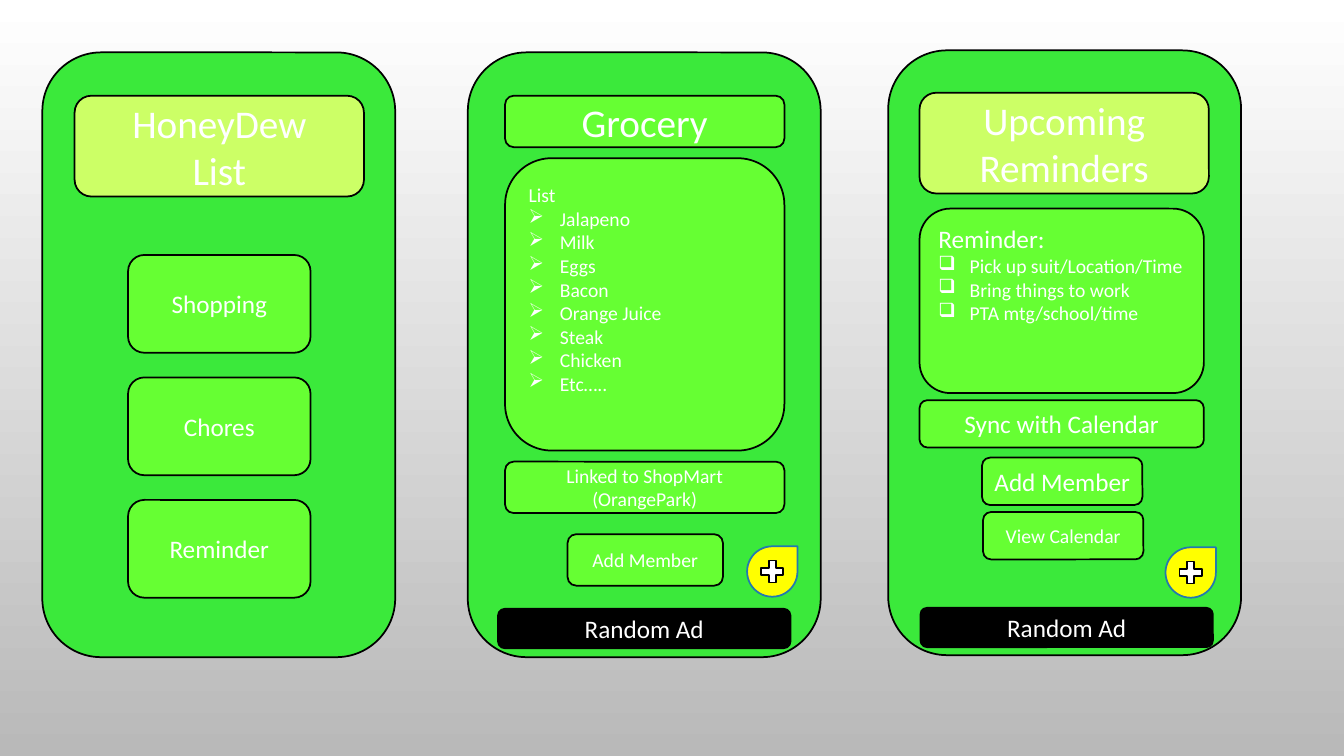
import pptx
import pptx.util
import pptx.dml.color
import pptx.enum.shapes
import pptx.enum.text
import pptx.oxml.ns
import lxml.etree

Inches = pptx.util.Inches
Pt = pptx.util.Pt
RGBColor = pptx.dml.color.RGBColor
MSO_SHAPE = pptx.enum.shapes.MSO_SHAPE
PP_ALIGN = pptx.enum.text.PP_ALIGN
qn = pptx.oxml.ns.qn

WHITE = RGBColor(0xFF, 0xFF, 0xFF)
BLACK = RGBColor(0x00, 0x00, 0x00)
GREY = RGBColor(0xB9, 0xB9, 0xB9)
PHONE = RGBColor(0x3B, 0xE9, 0x3B)
GREEN = RGBColor(0x66, 0xFF, 0x33)
LIME = RGBColor(0xCC, 0xFF, 0x66)
YELLOW = RGBColor(0xFF, 0xFF, 0x00)
BLUE = RGBColor(0x23, 0x79, 0xB0)


def add_box(shapes, text, x, y, w, h, fill=GREEN, line=BLACK, size=18,
            kind=MSO_SHAPE.ROUNDED_RECTANGLE, align=PP_ALIGN.CENTER):
    sp = shapes.add_shape(kind, Inches(x), Inches(y), Inches(w), Inches(h))
    sp.shadow.inherit = False
    sp.fill.solid()
    sp.fill.fore_color.rgb = fill
    sp.line.color.rgb = line
    sp.line.width = Pt(1.25)
    tf = sp.text_frame
    tf.word_wrap = True
    tf.vertical_anchor = pptx.enum.text.MSO_ANCHOR.MIDDLE
    for i, part in enumerate(text.split("\n") if text else []):
        p = tf.paragraphs[0] if i == 0 else tf.add_paragraph()
        p.alignment = align
        r = p.add_run()
        r.text = part
        r.font.name = "Calibri"
        r.font.size = Pt(size)
        r.font.color.rgb = WHITE
    return sp


def format_list(sp, bullet, heading_size, bottom):
    tf = sp.text_frame
    tf.margin_bottom = Inches(bottom)
    tf.paragraphs[0].runs[0].font.size = Pt(heading_size)
    for p in tf.paragraphs[1:]:
        pPr = p._p.get_or_add_pPr()
        pPr.set("marL", str(Inches(0.31)))
        pPr.set("indent", str(-Inches(0.31)))
        lxml.etree.SubElement(pPr, qn("a:buChar")).set("char", bullet)


prs = pptx.Presentation()
prs.slide_width = Inches(13.33)
prs.slide_height = Inches(7.5)
s = prs.slides.add_slide(prs.slide_layouts[6])

bg = s.background.fill
bg.gradient()
bg.gradient_angle = 270
for stop, color, position in zip(bg.gradient_stops, (WHITE, GREY), (0, 1)):
    stop.color.rgb = color
    stop.position = position

home, grocery, reminders = [s.shapes.add_group_shape().shapes for _ in range(3)]
for screen, x, y in ((home, 0.42, 0.52), (grocery, 4.64, 0.52), (reminders, 8.81, 0.5)):
    add_box(screen, "", x, y, 3.5, 6, fill=PHONE)

add_box(home, "HoneyDew\nList", 0.74, 0.95, 2.87, 1, fill=LIME, size=28)
for i, label in enumerate(("Shopping", "Chores", "Reminder")):
    add_box(home, label, 1.27, 2.53 + i * 1.215, 1.81, 0.97)

add_box(grocery, "Grocery", 5.01, 0.95, 2.77, 0.51, size=28)
items = ("List", "Jalapeno", "Milk", "Eggs", "Bacon", "Orange Juice",
         "Steak", "Chicken", "Etc…..")
sp = add_box(grocery, "\n".join(items), 5.01, 1.57, 2.77, 2.9, size=14, align=PP_ALIGN.LEFT)
format_list(sp, "➢", heading_size=14, bottom=0.35)
add_box(grocery, "Linked to ShopMart (OrangePark)", 5.01, 4.58, 2.77, 0.51, size=14)
add_box(grocery, "Add Member", 5.63, 5.3, 1.54, 0.51, size=14)

add_box(reminders, "Upcoming Reminders", 9.12, 0.92, 2.87, 1, fill=LIME, size=28)
items = ("Reminder:", "Pick up suit/Location/Time", "Bring things to work",
         "PTA mtg/school/time")
sp = add_box(reminders, "\n".join(items), 9.12, 2.07, 2.82, 1.83, size=14, align=PP_ALIGN.LEFT)
format_list(sp, "❑", heading_size=18, bottom=0.58)
add_box(reminders, "Sync with Calendar", 9.12, 3.97, 2.82, 0.47)
add_box(reminders, "Add Member", 9.74, 4.54, 1.59, 0.47)
add_box(reminders, "View Calendar", 9.75, 5.08, 1.59, 0.47, size=14)

for screen, x, y, ad_x, ad_y in ((grocery, 7.41, 5.42, 4.94, 6.04),
                                 (reminders, 11.56, 5.43, 9.13, 6.03)):
    add_box(screen, "", x, y, 0.5, 0.5, fill=YELLOW, line=BLUE, kind=MSO_SHAPE.TEAR)
    add_box(screen, "", x + 0.1, y + 0.1, 0.3, 0.3, fill=WHITE, kind=MSO_SHAPE.MATH_PLUS)
    add_box(screen, "Random Ad", ad_x, ad_y, 2.9, 0.39, fill=BLACK)

prs.save("out.pptx")
